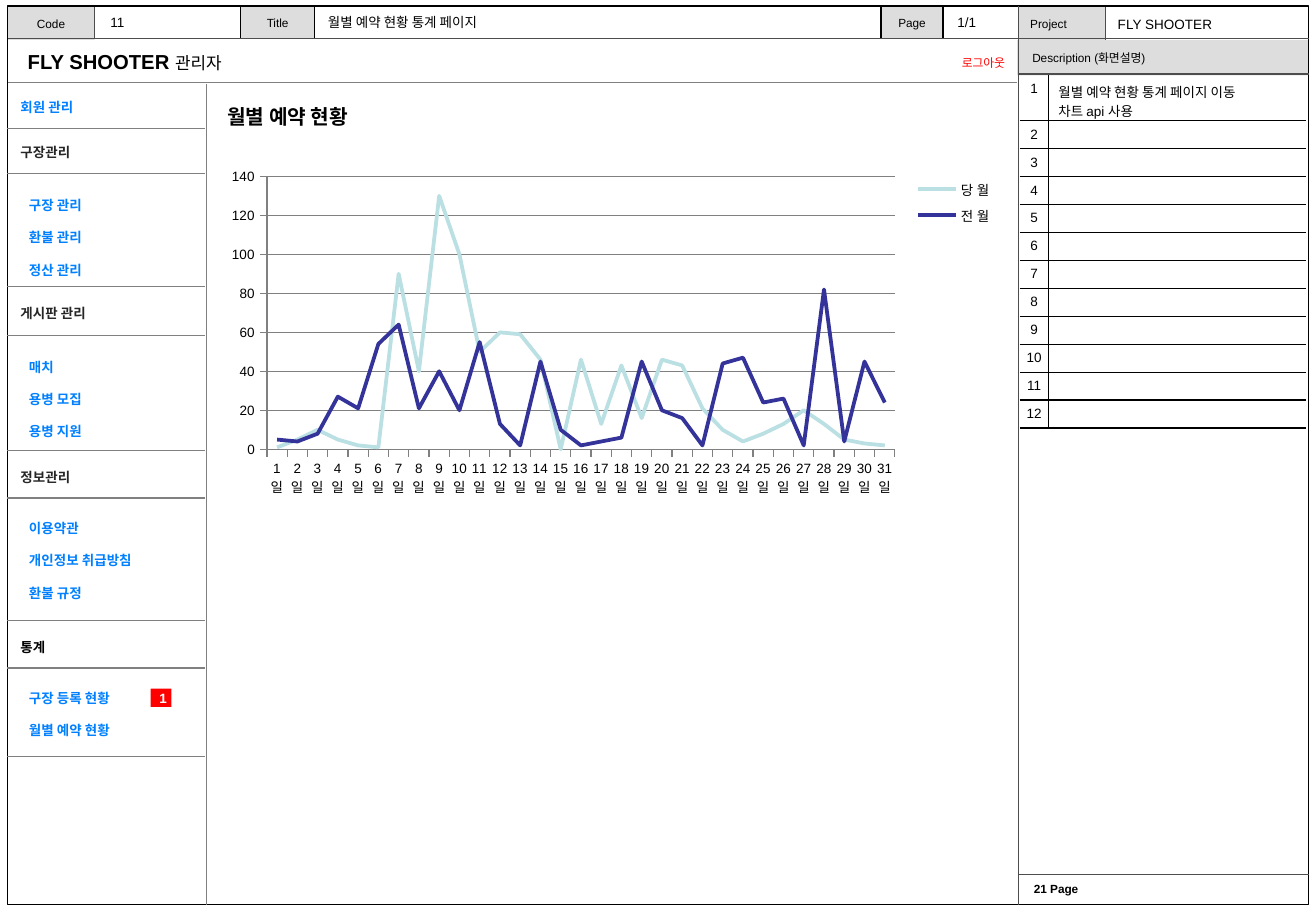
from lxml import etree
from pptx import Presentation
from pptx import util as u
from pptx.chart import data
from pptx.dml import color
from pptx.enum import chart as charts, shapes, text
from pptx.oxml import ns

BLACK, GRAY, DARK, PANEL = "000000", "808080", "4D4D4D", "DDDDDD"
RED, WHITE, BLUE, INK = "FF0000", "FFFFFF", "0080FF", "262626"
LEFT, CENTER, RIGHT = text.PP_ALIGN.LEFT, text.PP_ALIGN.CENTER, text.PP_ALIGN.RIGHT
TOP, MIDDLE = text.MSO_ANCHOR.TOP, text.MSO_ANCHOR.MIDDLE


def rgb(value):
    return color.RGBColor.from_string(value)


class Wireframe:
    """Draws styled elements of a screen specification on one slide."""

    def __init__(self, slide, font="Arial"):
        self.slide = slide
        self.font = font

    def style(self, font, size, ink, bold=False, name=None):
        font.name = name or self.font
        font.size = u.Pt(size)
        font.bold = bold
        font.color.rgb = rgb(ink)

    def place(self, shape, at):
        shape.left, shape.top, shape.width, shape.height = map(u.Inches, at)

    def set_lines(self, frame, lines, size=8, ink=BLACK, bold=False, align=LEFT,
                  anchor=TOP, spacing=None, name=None):
        frame.word_wrap = True
        frame.auto_size = text.MSO_AUTO_SIZE.NONE
        frame.vertical_anchor = anchor
        for index, line in enumerate(lines):
            para = frame.add_paragraph() if index else frame.paragraphs[0]
            para.text = line
            para.alignment = align
            if spacing:
                para.line_spacing = spacing
            self.style(para.font, size, ink, bold, name)

    def heading(self, at, words):
        title = self.slide.shapes.title
        self.place(title, at)
        self.set_lines(title.text_frame, [words], 12, bold=True, name="Noto Sans CJK KR")

    def label(self, at, *lines, **look):
        box = self.slide.shapes.add_textbox(*map(u.Inches, at))
        self.set_lines(box.text_frame, lines, **look)
        return box

    def panel(self, at, words="", fill=PANEL, line=None, **look):
        box = self.slide.shapes.add_shape(shapes.MSO_SHAPE.RECTANGLE, *map(u.Inches, at))
        box.shadow.inherit = False
        if fill:
            box.fill.solid()
            box.fill.fore_color.rgb = rgb(fill)
        else:
            box.fill.background()
        if line:
            box.line.color.rgb = rgb(line)
            box.line.width = u.Pt(0.75)
        else:
            box.line.fill.background()
        if words:
            self.set_lines(box.text_frame, [words], anchor=MIDDLE, **look)

    def rule(self, x1, y1, x2, y2, ink=DARK):
        line = self.slide.shapes.add_connector(
            shapes.MSO_CONNECTOR.STRAIGHT, *map(u.Inches, (x1, y1, x2, y2)))
        line.line.color.rgb = rgb(ink)
        line.line.width = u.Pt(0.75)
        etree.SubElement(line._element.spPr, ns.qn("a:effectLst"))

    def borders(self, cell, sides):
        props = cell._tc.get_or_add_tcPr()
        for index, side in enumerate("LRTB"):
            edge = etree.Element(ns.qn(f"a:ln{side}"), w=str(u.Pt(0.75)))
            if side in sides:
                fill = etree.SubElement(edge, ns.qn("a:solidFill"))
                etree.SubElement(fill, ns.qn("a:srgbClr"), val=BLACK)
            else:
                etree.SubElement(edge, ns.qn("a:noFill"))
            props.insert(index, edge)

    def descriptions(self, at, widths, heights, notes):
        table = self.slide.shapes.add_table(len(heights), 2, *map(u.Inches, at)).table
        table.first_row = table.horz_banding = False
        for column, width in zip(table.columns, widths):
            column.width = u.Inches(width)
        for index, height in enumerate(heights):
            table.rows[index].height = u.Inches(height)
            number, note = table.cell(index, 0), table.cell(index, 1)
            number.margin_left = number.margin_right = u.Inches(0.04)
            note.margin_left = note.margin_right = u.Inches(0.08)
            note.margin_bottom = 0
            self.set_lines(number.text_frame, [str(index + 1)], align=CENTER)
            self.set_lines(note.text_frame, notes.get(index + 1, [""]))
            if index + 1 not in notes:
                para = note.text_frame.paragraphs[0]._p
                etree.SubElement(para, ns.qn("a:endParaRPr"), sz="800")
            for cell, side in ((number, "R"), (note, "L")):
                cell.fill.background()
                self.borders(cell, side + ("TB" if index else "B"))

    def layout(self, parent, index, **sizes):
        for old in parent.findall(ns.qn("c:layout")):
            parent.remove(old)
        layout = etree.Element(ns.qn("c:layout"))
        manual = etree.SubElement(layout, ns.qn("c:manualLayout"))
        if index == 0:
            etree.SubElement(manual, ns.qn("c:layoutTarget"), val="inner")
        for mode in ("xMode", "yMode"):
            etree.SubElement(manual, ns.qn(f"c:{mode}"), val="edge")
        for key, value in sizes.items():
            etree.SubElement(manual, ns.qn(f"c:{key}"), val=str(value))
        parent.insert(index, layout)

    def line_chart(self, at, categories, series):
        source = data.CategoryChartData()
        source.categories = categories
        for name, ink, values in series:
            source.add_series(name, values)
        chart = self.slide.shapes.add_chart(
            charts.XL_CHART_TYPE.LINE, *map(u.Inches, at), source).chart
        self.style(chart.font, 8, BLACK)
        chart.has_title = False
        chart.has_legend = True
        chart.legend.position = charts.XL_LEGEND_POSITION.RIGHT
        chart.legend.include_in_layout = False
        self.style(chart.legend.font, 8, BLACK)
        plot = chart.plots[0]
        plot.vary_by_categories = False
        for line, (name, ink, values) in zip(plot.series, series):
            line.smooth = False
            line.format.line.color.rgb = rgb(ink)
            line.format.line.width = u.Pt(2.25)
        for axis in (chart.category_axis, chart.value_axis):
            axis.major_tick_mark = charts.XL_TICK_MARK.OUTSIDE
            axis.format.line.color.rgb = rgb(GRAY)
            self.style(axis.tick_labels.font, 8, BLACK)
        scale = chart.value_axis
        scale.minimum_scale, scale.maximum_scale, scale.major_unit = 0, 140, 20
        scale.has_major_gridlines = True
        scale.major_gridlines.format.line.color.rgb = rgb(GRAY)
        self.layout(chart._chartSpace.chart.plotArea, 0, x=0.06, y=0.04, w=0.8, h=0.8)
        self.layout(chart.legend._element, 1, x=0.88, y=0.03, w=0.11, h=0.17)


def main():
    deck = Presentation()
    deck.slide_width, deck.slide_height = u.Inches(10.83), u.Inches(7.5)
    page = Wireframe(deck.slides.add_slide(deck.slide_layouts[5]))

    page.panel((8.37, 0.33, 2.4, 0.29), " Description (화면설명)", size=7)
    page.panel((7.25, 0.05, 0.51, 0.27), "Page", line=BLACK, size=7, align=CENTER)
    page.panel((1.98, 0.05, 0.61, 0.27), "Title", line=BLACK, size=7, align=CENTER)
    page.panel((0.06, 0.06, 0.72, 0.27), "Code", size=7, align=CENTER)
    page.panel((8.38, 0.06, 0.72, 0.27), "Project", size=7)
    page.panel((0.06, 0.05, 10.71, 7.4), fill=None, line=BLACK)
    for ends in ((8.38, 0.05, 8.38, 7.45), (0.07, 0.32, 10.77, 0.32),
                 (9.1, 0.06, 9.1, 0.33), (8.39, 7.2, 10.77, 7.2),
                 (8.39, 0.61, 10.77, 0.61), (0.78, 0.06, 0.78, 0.32)):
        page.rule(*ends)
    for at, words in (((0.81, 0.07, 0.6, 0.24), "11"),
                      ((2.6, 0.07, 4.65, 0.24), "월별 예약 현황 통계 페이지"),
                      ((7.78, 0.07, 0.6, 0.24), "1/1"),
                      ((9.1, 0.08, 1.62, 0.24), "FLY SHOOTER")):
        page.label(at, words)
    page.label((8.41, 7.21, 2.32, 0.2), "21 Page", size=7, bold=True)

    brand = page.label((0.13, 0.36, 6.45, 0.3), "", anchor=MIDDLE).text_frame.paragraphs[0]
    for words, size, bold in (("FLY SHOOTER ", 12, True), ("관리자", 10, False)):
        span = brand.add_run()
        span.text = words
        page.style(span.font, size, BLACK, bold)
    page.label((7.2, 0.41, 1.17, 0.22), "로그아웃", size=7, ink=RED, align=RIGHT)

    page.rule(0.07, 0.68, 8.37, 0.68, GRAY)
    page.rule(1.7, 0.69, 1.7, 7.45, GRAY)
    for y in (1.06, 1.43, 2.36, 2.76, 3.71, 4.1, 5.11, 5.5, 6.23):
        page.rule(0.06, y, 1.69, y, GRAY)
    for y, words, ink in ((0.77, "회원 관리", BLUE), (1.14, "구장관리", INK),
                          (2.46, "게시판 관리", INK), (3.81, "정보관리", INK),
                          (5.21, "통계", BLACK)):
        page.label((0.07, y, 1.5, 0.24), words, ink=ink, bold=True)
    for y, items in ((1.44, ("구장 관리", "환불 관리", "정산 관리")),
                     (2.77, ("매치", "용병 모집", "용병 지원")),
                     (4.1, ("이용약관", "개인정보 취급방침", "환불 규정")),
                     (5.5, ("구장 등록 현황", "월별 예약 현황"))):
        page.label((0.14, y, 1.33, 0.9), *items, ink=BLUE, bold=True, spacing=2.0)
    page.panel((1.24, 5.67, 0.17, 0.15), "1", fill=RED, ink=WHITE, bold=True, align=CENTER)

    page.heading((1.77, 0.81, 1.74, 0.3), "월별 예약 현황")
    page.line_chart((1.81, 1.34, 6.46, 2.81), [f"{day}일" for day in range(1, 32)], (
        ("당 월", "BBE0E3", (1, 5, 10, 5, 2, 1, 90, 40, 130, 100, 50, 60, 59, 46, 0, 46, 13,
                           43, 16, 46, 43, 21, 10, 4, 8, 13, 20, 13, 5, 3, 2)),
        ("전 월", "333399", (5, 4, 8, 27, 21, 54, 64, 21, 40, 20, 55, 13, 2, 45, 10, 2, 4,
                           6, 45, 20, 16, 2, 44, 47, 24, 26, 2, 82, 4, 45, 24))))
    page.descriptions((8.39, 0.62, 2.36, 2.87), (0.24, 2.12), [0.36] + [0.23] * 11,
                      {1: ["월별 예약 현황 통계 페이지 이동", "차트 api 사용"]})
    deck.save("out.pptx")


if __name__ == "__main__":
    main()
